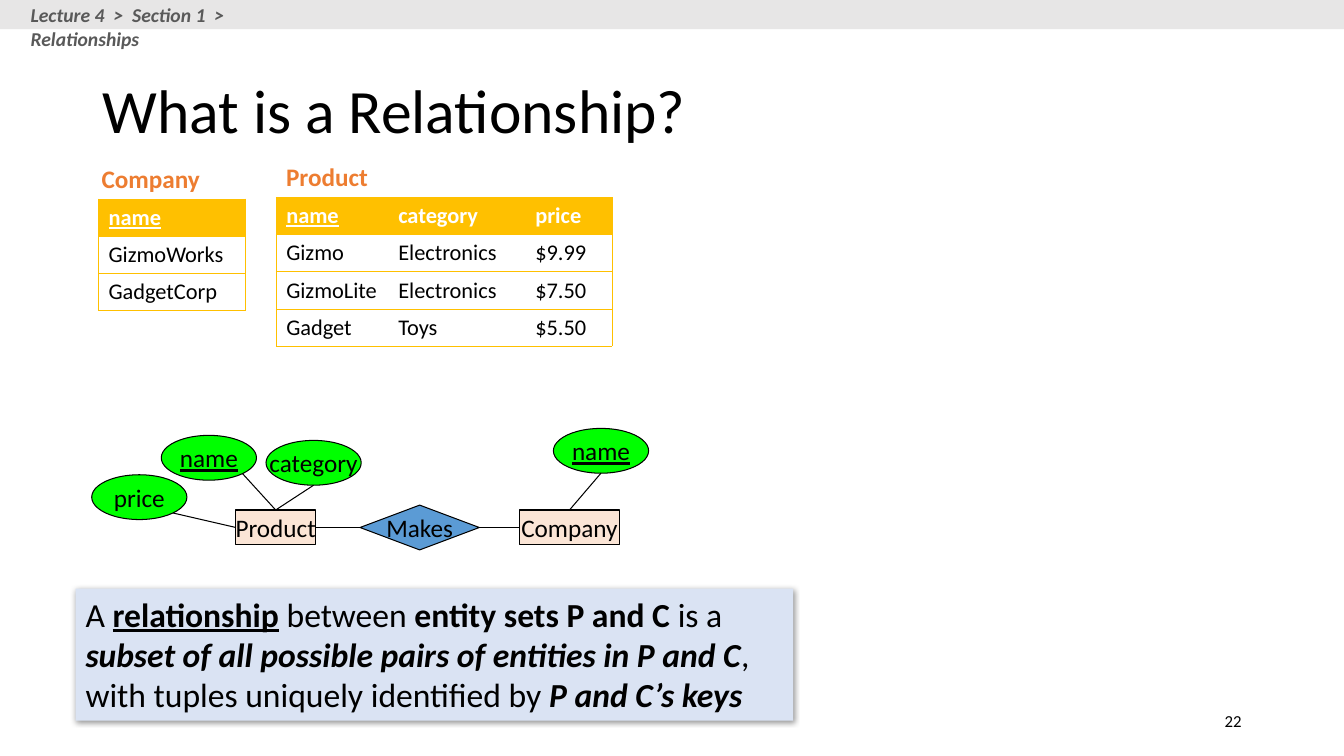
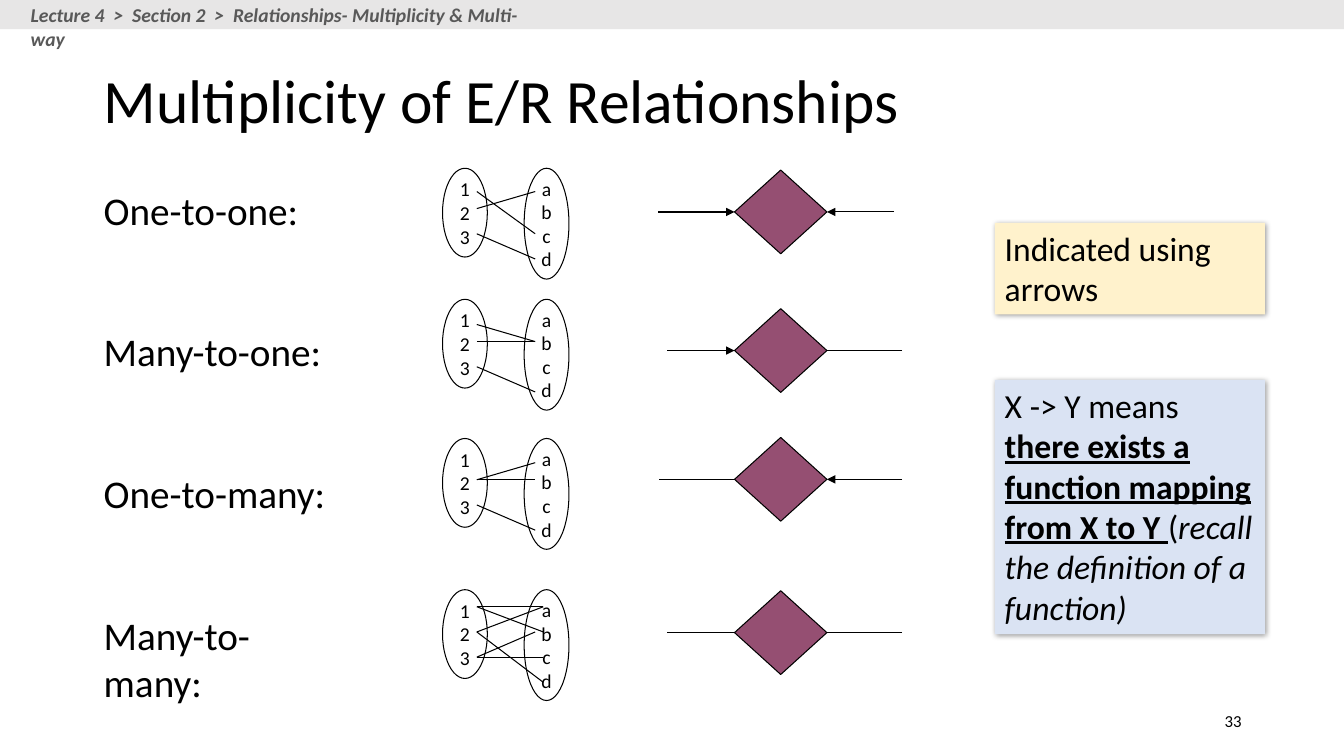
from lxml import etree
from pptx import Presentation
from pptx.dml.color import RGBColor
from pptx.enum import shapes, text
from pptx.oxml.ns import qn
from pptx.util import Pt

FONT = "Calibri"
COLORS = {
    "ink": "000000", "paper": "FFFFFF", "band": "E7E6E6", "crumb": "595959",
    "gold": "FFC000", "orange": "ED7D31", "entity": "FBE5D6", "attribute": "00FF00",
    "relation": "5B9BD5", "plum": "954F72", "blue": "DAE3F3", "cream": "FFF2CC",
}
SHAPE = shapes.MSO_SHAPE
LEFT, CENTER, RIGHT = text.PP_ALIGN.LEFT, text.PP_ALIGN.CENTER, text.PP_ALIGN.RIGHT
TOP, MIDDLE = text.MSO_ANCHOR.TOP, text.MSO_ANCHOR.MIDDLE

PAGES = [
    {"title": "What is a Relationship?", "title_at": (66.2, 28.8, 828, 104.4), "number": "22",
     "crumbs": ["Lecture 4", "Section 1", "Relationships"], "crumb_width": 232.6},
    {"title": "Multiplicity of E/R Relationships", "title_at": (67, 28.8, 816, 90), "number": "33",
     "crumbs": ["Lecture 4", "Section 2", "Relationships- Multiplicity & Multi-way"],
     "crumb_width": 375},
]

TABLES = [
    {"name": "Product", "label_at": (197.3, 111.6), "at": (197.3, 140.9), "widths": (80, 97.9, 61.9),
     "rows": [("name", "category", "price"), ("Gizmo", "Electronics", "$9.99"),
              ("GizmoLite", "Electronics", "$7.50"), ("Gadget", "Toys", "$5.50")]},
    {"name": "Company", "label_at": (65.5, 113), "at": (70.4, 142.2), "widths": (104.7,),
     "rows": [("name",), ("GizmoWorks",), ("GadgetCorp",)]},
]
ROW_HEIGHT = 26.6

NODES = {
    "Product": (168.5, 364.3, 56.9, 25),
    "Company": (370.8, 364.3, 72, 25),
    "Makes": (257.2, 360.8, 85.2, 32),
}
OVAL_SIZE = (68, 32)
DIAGONAL = 0.354
ATTRIBUTES = [
    ("price", (65.5, 339.1), "", "Product", 1, (DIAGONAL, DIAGONAL)),
    ("name", (115.2, 311), "u", "Product", 0, (DIAGONAL, DIAGONAL)),
    ("category", (190, 314.6), "", "Product", 0, (0, 0.5)),
    ("name", (395.3, 306), "u", "Company", 0, (0, 0.5)),
]

CALLOUTS = [
    [("blue", (54, 420.5, 512.6, 94.3), [
        ("A ", ""), ("relationship", "bu"), (" between ", ""), ("entity sets P and C ", "b"),
        ("is a ", ""), ("subset of all possible pairs of entities in P and C", "bi"),
        (", with tuples uniquely identified by ", ""), ("P and C’s keys", "bi")])],
    [("cream", (710.6, 159.1, 193, 65.5), [("Indicated using arrows", "")]),
     ("blue", (710.6, 271.4, 193, 181.5), [
         ("X -> Y means ", ""), ("there exists a function mapping from X to Y ", "bu"),
         ("(", ""), ("recall the definition of a function)", "i")])],
]

KINDS = [
    {"label": "One-to-one:", "label_top": 129.6, "sets_top": 120.2, "diamond_top": 121.5,
     "near": "1c 2a 3d", "far": "", "second": 28.8, "rise": 12.2,
     "left": (470.2, True, 1), "right": (638.6, True, 0.75)},
    {"label": "Many-to-one:", "label_top": 230.4, "sets_top": 213.8, "diamond_top": 220.5,
     "near": "1b 2b 3d", "far": "", "second": 30.2, "rise": 12.2,
     "left": (476.6, True, 0.75), "right": (644.4, False, 0.75)},
    {"label": "One-to-many:", "label_top": 331.9, "sets_top": 313.2, "diamond_top": 312.5,
     "near": "2a 2b 3d", "far": "", "second": 29.5, "rise": 12.2,
     "left": (470.9, False, 0.75), "right": (644.4, True, 0.75)},
    {"label": "Many-to-many:", "label_top": 433.4, "sets_top": 421.2, "diamond_top": 422,
     "near": "3b", "far": "1a 1b 2a 2d 3c", "second": 30.2, "rise": 18,
     "left": (476.6, False, 0.75), "right": (644.4, False, 0.75)},
]
SETS = [(316.1, 63.4, "123"), (374.4, 79.2, "abcd")]
LINK_START, NEAR_END, FAR_END = 340.6, 382.3, 388.1
LINK_STEP = 18


def rgb(name):
    return RGBColor.from_string(COLORS[name])


def points(values):
    return [Pt(value) for value in values]


def set_style(font, style):
    font.bold = "b" in style
    font.italic = "i" in style
    font.underline = "u" in style


def write(frame, lines, size, color="ink", style="", align=LEFT, anchor=TOP, wrap=True):
    frame.word_wrap = wrap
    frame.vertical_anchor = anchor
    for index, line in enumerate(lines):
        para = frame.paragraphs[0] if index == 0 else frame.add_paragraph()
        para.alignment = align
        para.font.name, para.font.size = FONT, Pt(size)
        para.font.color.rgb = rgb(color)
        if isinstance(line, str):
            para.add_run().text = line
            set_style(para.font, style)
            continue
        for words, span_style in line:
            span = para.add_run()
            span.text = words
            set_style(span.font, span_style)


def add_label(page, at, words, size, **options):
    box = page.shapes.add_textbox(*points(at))
    write(box.text_frame, [words], size, **options)


def add_box(page, kind, at, fill=None, outlined=True):
    box = page.shapes.add_shape(kind, *points(at))
    box.shadow.inherit = False
    if fill:
        box.fill.solid()
        box.fill.fore_color.rgb = rgb(fill)
    else:
        box.fill.background()
    if outlined:
        box.line.color.rgb = rgb("ink")
        box.line.width = Pt(0.75)
    else:
        box.line.fill.background()
    return box


def add_node(page, kind, at, lines, size, fill=None, style=""):
    box = add_box(page, kind, at, fill)
    frame = box.text_frame
    frame.margin_left = frame.margin_right = frame.margin_top = frame.margin_bottom = 0
    write(frame, lines, size, style=style, align=CENTER, anchor=MIDDLE, wrap=False)
    return box


def add_line(page, start, end, width=0.75, arrow=False):
    line = page.shapes.add_connector(shapes.MSO_CONNECTOR.STRAIGHT, *points(start + end))
    line.line.color.rgb = rgb("ink")
    line.line.width = Pt(width)
    if arrow:
        etree.SubElement(line.line._get_or_add_ln(), qn("a:tailEnd"), type="triangle")
    etree.SubElement(line._element.spPr, qn("a:effectLst"))
    return line


def add_callout(page, fill, at, spans):
    box = add_box(page, SHAPE.RECTANGLE, at, fill, outlined=False)
    effects = box._element.spPr.find(qn("a:effectLst"))
    shadow = etree.SubElement(effects, qn("a:outerShdw"), blurRad=str(Pt(4)), dist=str(Pt(1)),
                              dir="2700000", algn="tl", rotWithShape="0")
    tint = etree.SubElement(shadow, qn("a:srgbClr"), val=COLORS["ink"])
    etree.SubElement(tint, qn("a:alpha"), val="40000")
    write(box.text_frame, [spans], 24)


def set_borders(cell, column, last):
    drawn = {"a:lnL": column == 0, "a:lnR": column == last, "a:lnT": True, "a:lnB": True}
    for index, (tag, visible) in enumerate(drawn.items()):
        border = etree.Element(qn(tag), w=str(Pt(0.5)))
        if visible:
            paint = etree.SubElement(border, qn("a:solidFill"))
            etree.SubElement(paint, qn("a:srgbClr"), val=COLORS["gold"])
        else:
            etree.SubElement(border, qn("a:noFill"))
        cell._tc.get_or_add_tcPr().insert(index, border)


def add_data_table(page, data):
    rows, widths = data["rows"], data["widths"]
    size = (sum(widths), ROW_HEIGHT * len(rows))
    table = page.shapes.add_table(len(rows), len(widths), *points(data["at"] + size)).table
    table.horz_banding = False
    for column, width in enumerate(widths):
        table.columns[column].width = Pt(width)
    for index, row in enumerate(rows):
        table.rows[index].height = Pt(ROW_HEIGHT)
        for column, words in enumerate(row):
            cell = table.cell(index, column)
            head = index == 0
            cell.fill.solid()
            cell.fill.fore_color.rgb = rgb("gold" if head else "paper")
            set_borders(cell, column, len(widths) - 1)
            style = ("bu" if column == 0 else "b") if head else ""
            write(cell.text_frame, [words], 16, "paper" if head else "ink", style)
    add_label(page, data["label_at"] + (100, 28.8), data["name"], 18, color="orange", style="b")


def add_page(deck, data):
    page = deck.slides.add_slide(deck.slide_layouts[5])
    title = page.shapes.title
    title.left, title.top, title.width, title.height = points(data["title_at"])
    write(title.text_frame, [data["title"]], 44, anchor=MIDDLE)
    title.text_frame.paragraphs[0].line_spacing = 0.9
    add_box(page, SHAPE.RECTANGLE, (0, 0, 960, 20.9), "band", outlined=False)
    add_label(page, (14.8, -1.4, data["crumb_width"], 24.2), "  >  ".join(data["crumbs"]), 14,
              color="crumb", style="bi")
    add_label(page, (678, 500.5, 216, 28.8), data["number"], 12, align=RIGHT, anchor=MIDDLE)
    return page


def draw_entities(page):
    nodes = {}
    for name, at in NODES.items():
        relation = name == "Makes"
        nodes[name] = add_node(page, SHAPE.DIAMOND if relation else SHAPE.RECTANGLE, at, [name], 18,
                               "relation" if relation else "entity")
    width, height = OVAL_SIZE
    for name, (left, top), style, owner, side, (across, down) in ATTRIBUTES:
        add_node(page, SHAPE.OVAL, (left, top, width, height), [name], 18, "attribute", style)
        start = (left + width * (0.5 + across), top + height * (0.5 + down))
        add_line(page, start, start).end_connect(nodes[owner], side)
    for first, second in (("Product", "Makes"), ("Makes", "Company")):
        line = add_line(page, (0, 0), (0, 0))
        line.begin_connect(nodes[first], 3)
        line.end_connect(nodes[second], 1)


def draw_kind(page, kind):
    add_label(page, (67, kind["label_top"], 188.6, 41), kind["label"], 28)
    top = kind["sets_top"]
    for left, height, items in SETS:
        add_node(page, SHAPE.OVAL, (left, top, 32, height), items, 14)
    second = top + kind["second"]
    levels = [second - kind["rise"], second, second + LINK_STEP, second + 2 * LINK_STEP]
    for links, end in ((kind["near"], NEAR_END), (kind["far"], FAR_END)):
        for source, target in links.split():
            add_line(page, (LINK_START, levels["123".index(source)]),
                     (end, levels["abcd".index(target)]))
    diamond = add_box(page, SHAPE.DIAMOND, (524.7, kind["diamond_top"], 66, 59.8), "plum")
    middle = kind["diamond_top"] + 29.9
    for side, name in ((1, "left"), (3, "right")):
        outer, arrow, width = kind[name]
        add_line(page, (outer, middle), (outer, middle), width, arrow).end_connect(diamond, side)


def main():
    deck = Presentation()
    deck.slide_width, deck.slide_height = Pt(960), Pt(540)
    pages = [add_page(deck, data) for data in PAGES]
    for data in TABLES:
        add_data_table(pages[0], data)
    draw_entities(pages[0])
    for kind in KINDS:
        draw_kind(pages[1], kind)
    for page, callouts in zip(pages, CALLOUTS):
        for callout in callouts:
            add_callout(page, *callout)
    deck.save("out.pptx")


if __name__ == "__main__":
    main()
